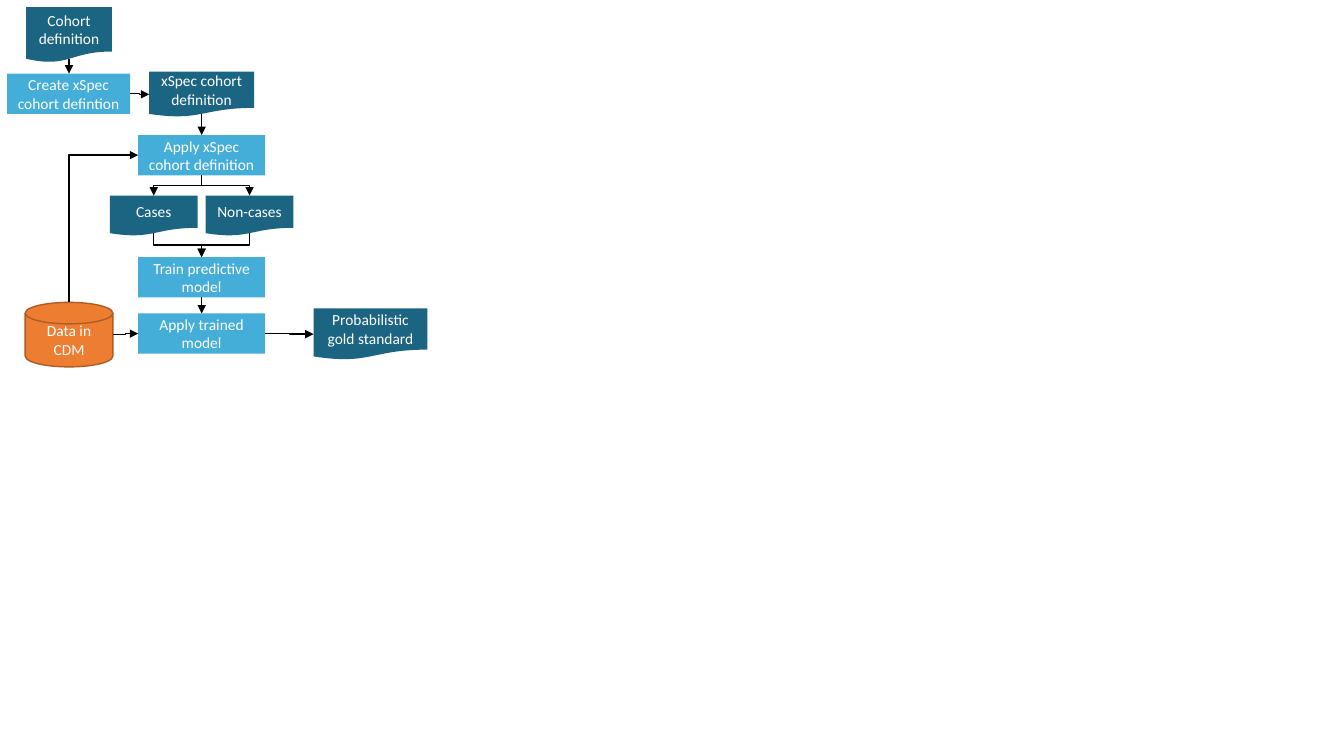
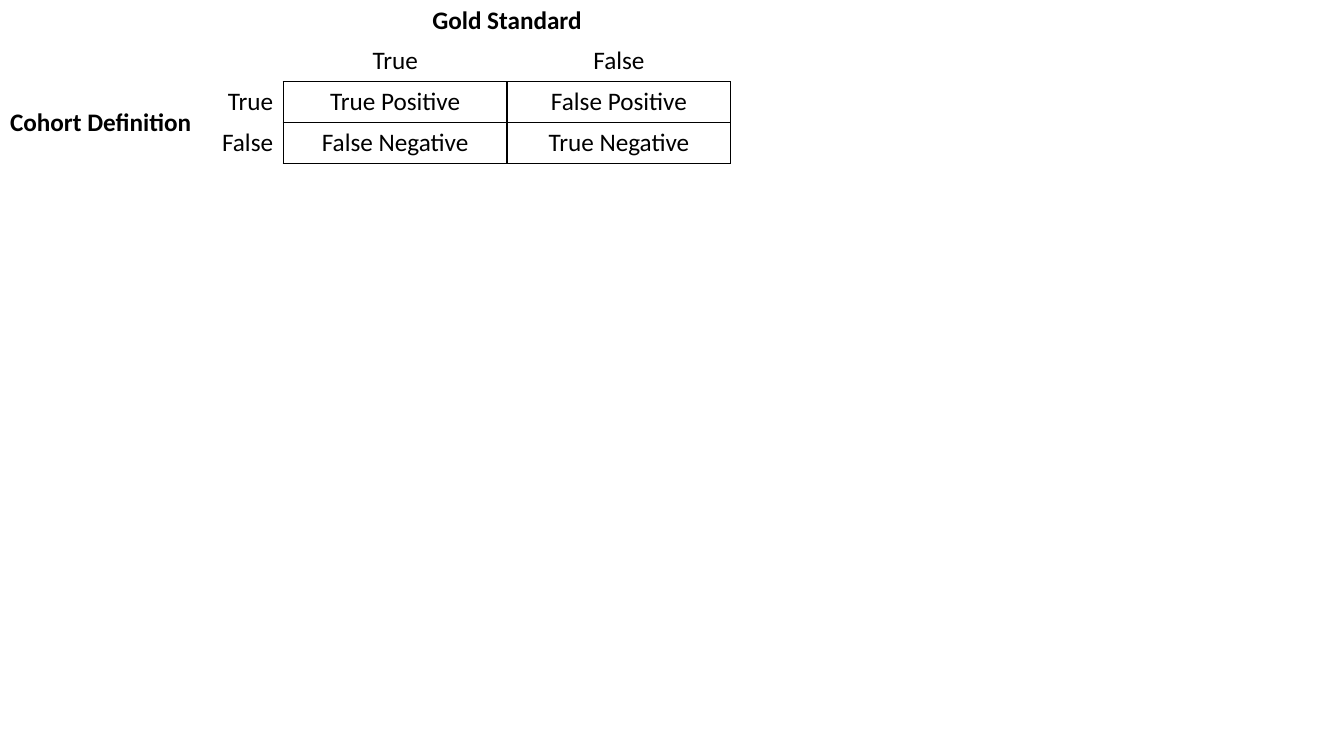
from lxml import etree
from pptx import Presentation
from pptx.dml.color import RGBColor
from pptx.enum.shapes import MSO_CONNECTOR, MSO_SHAPE
from pptx.enum.text import MSO_ANCHOR, PP_ALIGN
from pptx.oxml.ns import qn
from pptx.util import Inches, Pt

DOCUMENT = MSO_SHAPE.FLOWCHART_DOCUMENT
PROCESS = MSO_SHAPE.RECTANGLE
DATABASE = MSO_SHAPE.FLOWCHART_MAGNETIC_DISK
ELBOW = MSO_CONNECTOR.ELBOW
STRAIGHT = MSO_CONNECTOR.STRAIGHT
LEFT, CENTER, RIGHT = PP_ALIGN.LEFT, PP_ALIGN.CENTER, PP_ALIGN.RIGHT
MIDDLE = MSO_ANCHOR.MIDDLE

COLORS = {
    "document": "1B6583",
    "process": "44AED8",
    "database": "ED7D31",
    "database line": "AF5C24",
    "light text": "FFFFFF",
    "black": "000000",
}
FILLS = {DOCUMENT: "document", PROCESS: "process", DATABASE: "database"}
FONT = "Calibri"
NO_TABLE_STYLE = "{2D5ABB26-0587-4C30-8999-92F81FD0307C}"


def style_paragraph(paragraph, size, color, alignment, bold=False):
    paragraph.alignment = alignment
    paragraph.font.name = FONT
    paragraph.font.size = Pt(size)
    paragraph.font.bold = bold
    paragraph.font.color.rgb = RGBColor.from_string(COLORS[color])


presentation = Presentation()
presentation.slide_width = Inches(13.33)
presentation.slide_height = Inches(7.5)
blank = presentation.slide_layouts[6]

slide = presentation.slides.add_slide(blank)
nodes = {
    "cohort": (DOCUMENT, "Cohort definition", 0.26, 0.07, 0.85, 0.55),
    "create": (PROCESS, "Create xSpec cohort defintion", 0.07, 0.73, 1.22, 0.4),
    "xspec": (DOCUMENT, "xSpec cohort definition", 1.48, 0.71, 1.04, 0.45),
    "apply": (PROCESS, "Apply xSpec cohort definition", 1.37, 1.34, 1.26, 0.4),
    "cases": (DOCUMENT, "Cases", 1.09, 1.94, 0.87, 0.4),
    "non-cases": (DOCUMENT, "Non-cases", 2.04, 1.94, 0.87, 0.4),
    "train": (PROCESS, "Train predictive model", 1.37, 2.55, 1.26, 0.4),
    "data": (DATABASE, "Data in CDM", 0.25, 3, 0.87, 0.64),
    "predict": (PROCESS, "Apply trained model", 1.37, 3.11, 1.26, 0.4),
    "gold": (DOCUMENT, "Probabilistic gold standard", 3.11, 3.06, 1.13, 0.51),
}
sites = {}
for name, (kind, text, left, top, width, height) in nodes.items():
    shape = slide.shapes.add_shape(
        kind, Inches(left), Inches(top), Inches(width), Inches(height)
    )
    shape.shadow.inherit = False
    shape.fill.solid()
    shape.fill.fore_color.rgb = RGBColor.from_string(COLORS[FILLS[kind]])
    if kind == DATABASE:
        shape.line.color.rgb = RGBColor.from_string(COLORS["database line"])
        shape.line.width = Pt(1)
    else:
        shape.line.fill.background()
    frame = shape.text_frame
    frame.word_wrap = True
    frame.vertical_anchor = MIDDLE
    frame.margin_left = frame.margin_right = Inches(0.08)
    frame.text = text
    style_paragraph(frame.paragraphs[0], 11, "light text", CENTER)

    bottom_share = 0.94 if kind == DOCUMENT else 1
    sites[name] = {
        "top": (left + width / 2, top),
        "bottom": (left + width / 2, top + height * bottom_share),
        "left": (left, top + height / 2),
        "right": (left + width, top + height / 2),
    }

arrows = [
    ("cohort", "bottom", "create", "top"),
    ("create", "right", "xspec", "left"),
    ("xspec", "bottom", "apply", "top"),
    ("apply", "bottom", "cases", "top"),
    ("apply", "bottom", "non-cases", "top"),
    ("cases", "bottom", "train", "top"),
    ("non-cases", "bottom", "train", "top"),
    ("train", "bottom", "predict", "top"),
    ("data", "right", "predict", "left"),
    ("data", "top", "apply", "left"),
    ("predict", "right", "gold", "left"),
]
for source, exit_side, target, entry_side in arrows:
    x1, y1 = sites[source][exit_side]
    x2, y2 = sites[target][entry_side]
    vertical = exit_side in ("top", "bottom")
    straight = vertical and abs(x2 - x1) < 0.02
    turned = vertical and not straight
    if straight:
        x2 = x1
    if turned:
        middle_x, middle_y = (x1 + x2) / 2, (y1 + y2) / 2
        half_drop, half_shift = (y2 - y1) / 2, (x1 - x2) / 2
        x1, x2 = middle_x - half_drop, middle_x + half_drop
        y1, y2 = middle_y - half_shift, middle_y + half_shift
    connector = slide.shapes.add_connector(
        STRAIGHT if straight else ELBOW,
        Inches(x1), Inches(y1), Inches(x2), Inches(y2),
    )
    connector.line.width = Pt(1)
    connector.line.color.rgb = RGBColor.from_string(COLORS["black"])
    properties = connector._element.spPr
    if turned:
        properties.find(qn("a:xfrm")).set("rot", "5400000")
    if vertical and entry_side == "left":
        properties.find(qn("a:prstGeom")).set("prst", "bentConnector2")
    etree.SubElement(properties.find(qn("a:ln")), qn("a:tailEnd"), type="triangle")
    etree.SubElement(properties, qn("a:effectLst"))

slide = presentation.slides.add_slide(blank)
column_widths = [2.05, 0.76, 2.22, 2.22]
row_height = 1.62 / 4
rows = [
    ["", "", "Gold Standard", ""],
    ["", "", "True", "False"],
    ["Cohort Definition", "True", "True Positive", "False Positive"],
    ["", "False", "False Negative", "True Negative"],
]
alignments = [LEFT, RIGHT, CENTER, CENTER]
headings = ("Gold Standard", "Cohort Definition")
table_frame = slide.shapes.add_table(
    4, 4, 0, 0, Inches(sum(column_widths)), Inches(row_height * 4)
)
table = table_frame.table
table.first_row = False
table.horz_banding = False
table._tbl.tblPr.find(qn("a:tableStyleId")).text = NO_TABLE_STYLE
for column, width in zip(table.columns, column_widths):
    column.width = Inches(width)
for row in table.rows:
    row.height = Inches(row_height)
table.cell(0, 2).merge(table.cell(0, 3))
table.cell(2, 0).merge(table.cell(3, 0))
table.cell(2, 0).vertical_anchor = MIDDLE

for row_index, row in enumerate(rows):
    for column_index, text in enumerate(row):
        cell = table.cell(row_index, column_index)
        cell.fill.background()
        cell.text = text
        style_paragraph(
            cell.text_frame.paragraphs[0], 18, "black",
            alignments[column_index], text in headings,
        )
        if row_index >= 2 and column_index >= 2:
            borders = ["lnL", "lnR", "lnT", "lnB"]
        elif row_index == 1 and column_index >= 2:
            borders = ["lnB"]
        elif row_index >= 2 and column_index == 1:
            borders = ["lnR"]
        else:
            borders = []
        cell_properties = cell._tc.get_or_add_tcPr()
        for position, border in enumerate(borders):
            line = etree.Element(qn("a:" + border), w=str(Pt(1)))
            fill = etree.SubElement(line, qn("a:solidFill"))
            etree.SubElement(fill, qn("a:srgbClr"), val=COLORS["black"])
            cell_properties.insert(position, line)

presentation.save("out.pptx")
